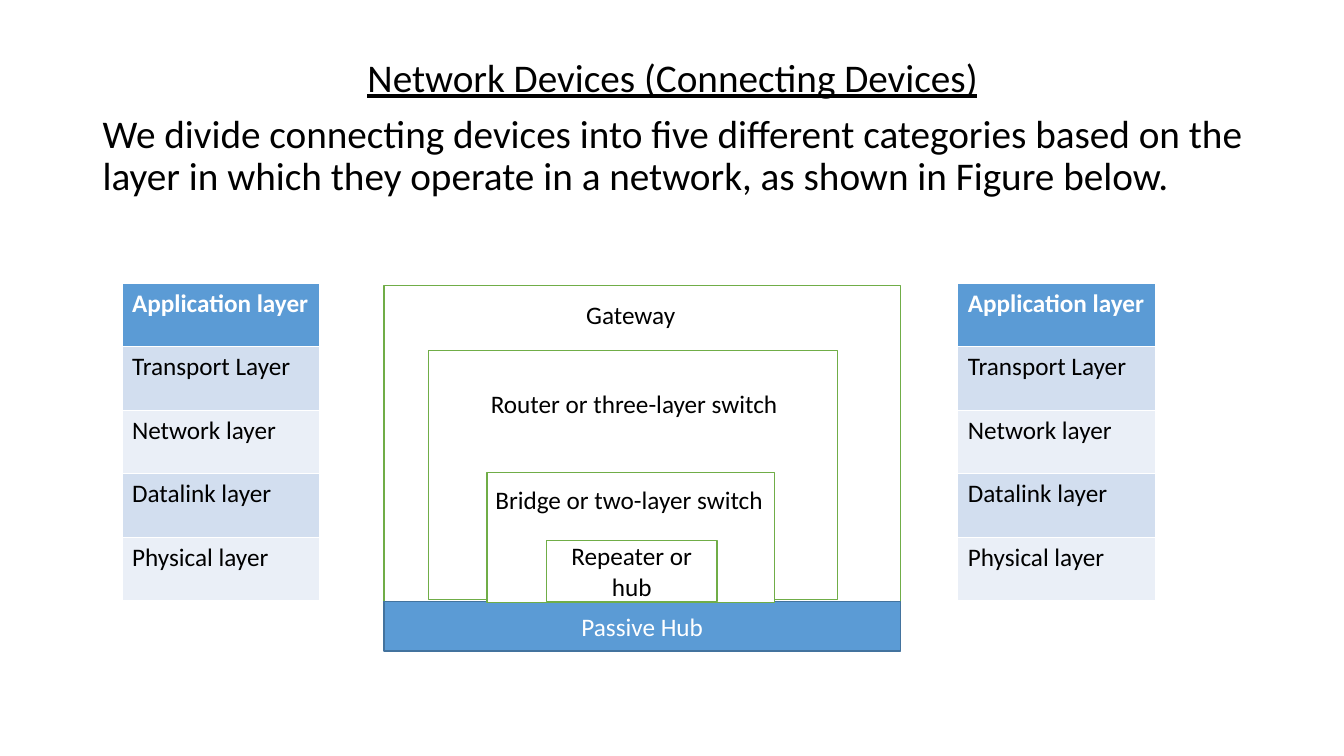
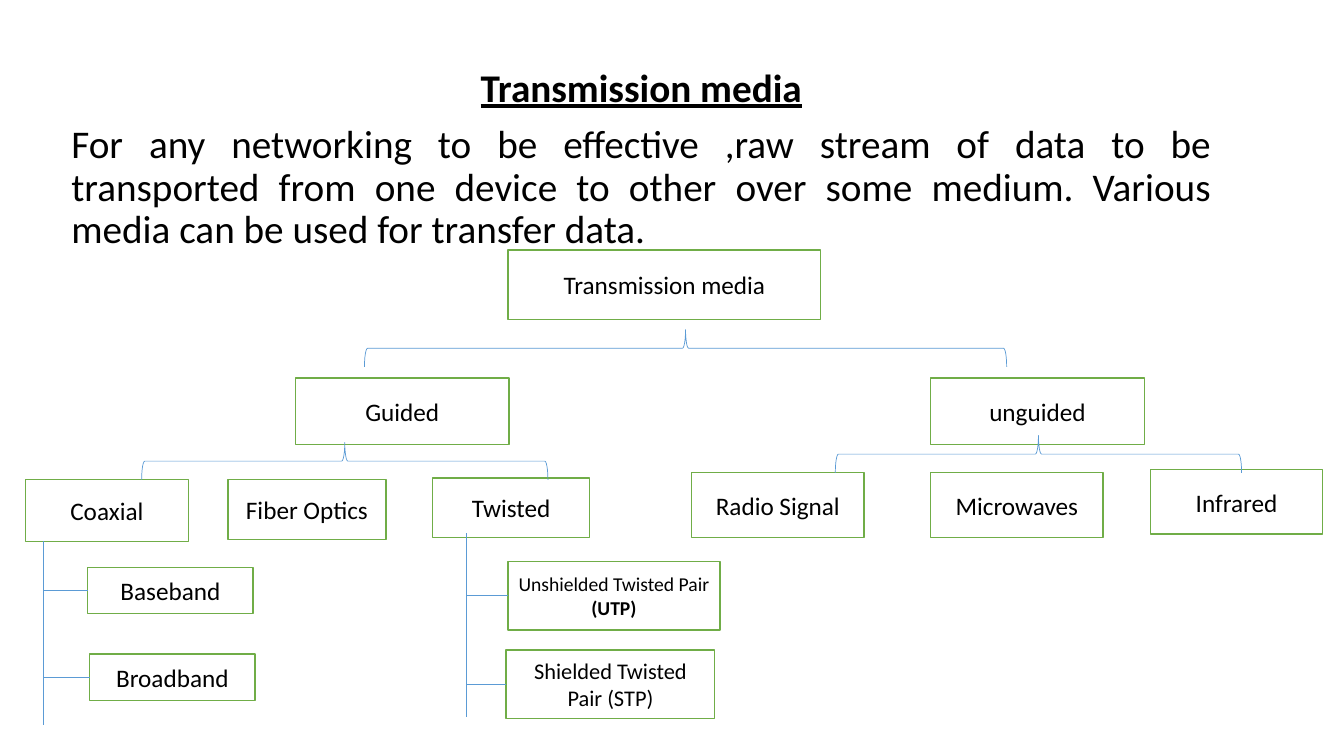
from lxml.etree import SubElement
from pptx import Presentation
from pptx.dml.color import RGBColor
from pptx.enum.shapes import MSO_CONNECTOR, MSO_SHAPE
from pptx.enum.text import MSO_ANCHOR, PP_ALIGN
from pptx.oxml.ns import qn
from pptx.util import Inches, Pt

FONT = "Calibri"
BLACK, WHITE = "000000", "FFFFFF"
BLUE, DARK_BLUE, GREEN = "5B9BD5", "43739E", "70AD47"
BANDS = ("D2DEEF", "EAEFF7")
LAYERS = ("Application layer", "Transport Layer", "Network layer",
          "Datalink layer", "Physical layer")


def rgb(value):
    return RGBColor.from_string(value)


def style(p, size, color=BLACK, bold=False, underline=False):
    for r in p.runs:
        r.font.name = FONT
        r.font.size = Pt(size)
        r.font.bold = bold
        r.font.underline = underline
        r.font.color.rgb = rgb(color)


def add_text(s, at, paragraphs=1):
    tf = s.shapes.add_textbox(*map(Inches, at)).text_frame
    for _ in range(paragraphs - 1):
        tf.add_paragraph()
    return tf


def add_heading(s, left, top, title, body, bold=False):
    """Centred underlined title with a justified paragraph below it."""
    tf = add_text(s, (left, top, 11.5, 1.8), paragraphs=2)
    tf.word_wrap = True
    head, intro = tf.paragraphs
    head.text, intro.text = title, body
    head.alignment, intro.alignment = PP_ALIGN.CENTER, PP_ALIGN.JUSTIFY
    head.line_spacing = intro.line_spacing = 0.9
    intro.space_before = Pt(10)
    style(head, 28, bold=bold, underline=True)
    style(intro, 28)


def add_label(s, at, text):
    tf = add_text(s, at)
    tf.word_wrap = False
    tf.text = text
    p = tf.paragraphs[0]
    p.alignment = PP_ALIGN.CENTER
    style(p, 18)


def add_box(s, at, text="", size=18, fill=WHITE, line=GREEN, color=BLACK):
    sp = s.shapes.add_shape(MSO_SHAPE.RECTANGLE, *map(Inches, at))
    sp.shadow.inherit = False
    sp.fill.solid()
    sp.fill.fore_color.rgb = rgb(fill)
    sp.line.color.rgb = rgb(line)
    sp.line.width = Pt(1)
    tf = sp.text_frame
    tf.word_wrap = True
    tf.vertical_anchor = MSO_ANCHOR.MIDDLE
    tf.text = text
    p = tf.paragraphs[0]
    p.alignment = PP_ALIGN.CENTER
    style(p, size, color)
    return sp


def add_brace(s, center_x, top, span, depth=0.37):
    """Brace pointing up; the preset points right, so it is turned."""
    left = center_x - depth / 2
    unturned_top = top + depth / 2 - span / 2
    sp = s.shapes.add_shape(MSO_SHAPE.RIGHT_BRACE, Inches(left),
                            Inches(unturned_top), Inches(depth), Inches(span))
    sp.rotation = 270
    sp.shadow.inherit = False
    sp.fill.background()
    sp.line.color.rgb = rgb(BLUE)
    sp.line.width = Pt(0.5)


def add_line(s, x1, y1, x2, y2):
    line = s.shapes.add_connector(MSO_CONNECTOR.STRAIGHT, x1, y1, x2, y2)
    line.line.color.rgb = rgb(BLUE)
    line.line.width = Pt(0.5)
    SubElement(line._element.spPr, qn("a:effectLst"))
    return line


def add_branches(s, x, top, bottom, boxes):
    """Vertical trunk with a line to the left side of each box."""
    trunk = Inches(x)
    add_line(s, trunk, Inches(top), trunk, Inches(bottom))
    for box in boxes:
        y = box.top + box.height // 2
        add_line(s, trunk, y, box.left, y).end_connect(box, 1)


def add_layer_table(s, left):
    table = s.shapes.add_table(len(LAYERS), 1, Inches(left), Inches(2.81),
                               Inches(1.96), Inches(0.63 * len(LAYERS))).table
    for i, layer in enumerate(LAYERS):
        header = i == 0
        cell = table.cell(i, 0)
        cell.text = layer
        cell.fill.solid()
        cell.fill.fore_color.rgb = rgb(BLUE if header else BANDS[(i - 1) % 2])
        style(cell.text_frame.paragraphs[0], 18,
              WHITE if header else BLACK, bold=header)


def build_devices(s):
    add_heading(s, 0.92, 0.53, "Network Devices (Connecting Devices)",
                "We divide connecting devices into five different categories "
                "based on the layer in which they operate in a network, as "
                "shown in Figure below.")
    for left in (1.21, 9.5):
        add_layer_table(s, left)
    add_box(s, (3.81, 2.83, 5.12, 3.57))
    add_box(s, (3.81, 5.97, 5.12, 0.49), "Passive Hub",
            fill=BLUE, line=DARK_BLUE, color=WHITE)
    add_box(s, (4.25, 3.48, 4.06, 2.47))
    add_box(s, (4.83, 4.69, 2.85, 1.29))
    add_box(s, (5.42, 5.36, 1.69, 0.61), "Repeater or hub")
    add_label(s, (4.8, 4.76, 2.88, 0.4), "Bridge or two-layer switch")
    add_label(s, (4.75, 3.8, 3.08, 0.4), "Router or three-layer switch")
    add_label(s, (5.71, 2.92, 1.09, 0.4), "Gateway")


def build_media(s):
    add_heading(s, 0.61, 0.63, "Transmission media",
                "For any networking to be effective ,raw stream of data to be "
                "transported from one device to other over some medium. "
                "Various media can be used for transfer data.", bold=True)
    for text, at in (
        ("Transmission media", (5.04, 2.48, 3.1, 0.69)),
        ("Guided", (2.93, 3.75, 2.12, 0.66)),
        ("unguided", (9.23, 3.75, 2.12, 0.66)),
        ("Coaxial", (0.25, 4.76, 1.62, 0.61)),
        ("Fiber Optics", (2.26, 4.76, 1.57, 0.59)),
        ("Twisted", (4.29, 4.74, 1.56, 0.59)),
        ("Radio Signal", (6.86, 4.69, 1.71, 0.64)),
        ("Microwaves", (9.23, 4.69, 1.71, 0.64)),
        ("Infrared", (11.41, 4.66, 1.71, 0.64)),
    ):
        add_box(s, at, text)
    for center_x, top, span in ((6.8, 3.27, 6.37), (3.42, 4.39, 4.03),
                                (10.3, 4.32, 4.03)):
        add_brace(s, center_x, top, span)

    baseband = add_box(s, (0.87, 5.63, 1.64, 0.46), "Baseband")
    broadband = add_box(s, (0.89, 6.49, 1.64, 0.46), "Broadband")
    utp = add_box(s, (5.04, 5.57, 2.1, 0.68), "Unshielded Twisted Pair ", 14)
    p = utp.text_frame.paragraphs[0]
    p.add_run().text = "(UTP)"
    style(p, 14)
    p.runs[-1].font.bold = True
    stp = add_box(s, (5.02, 6.45, 2.07, 0.68),
                  "Shielded Twisted Pair (STP)", 16)
    add_branches(s, 0.43, 5.37, 7.19, (baseband, broadband))
    add_branches(s, 4.63, 5.29, 7.11, (utp, stp))


def main():
    prs = Presentation()
    prs.slide_width, prs.slide_height = Inches(13.33), Inches(7.5)
    for build in (build_devices, build_media):
        build(prs.slides.add_slide(prs.slide_layouts[6]))
    prs.save("out.pptx")


if __name__ == "__main__":
    main()
